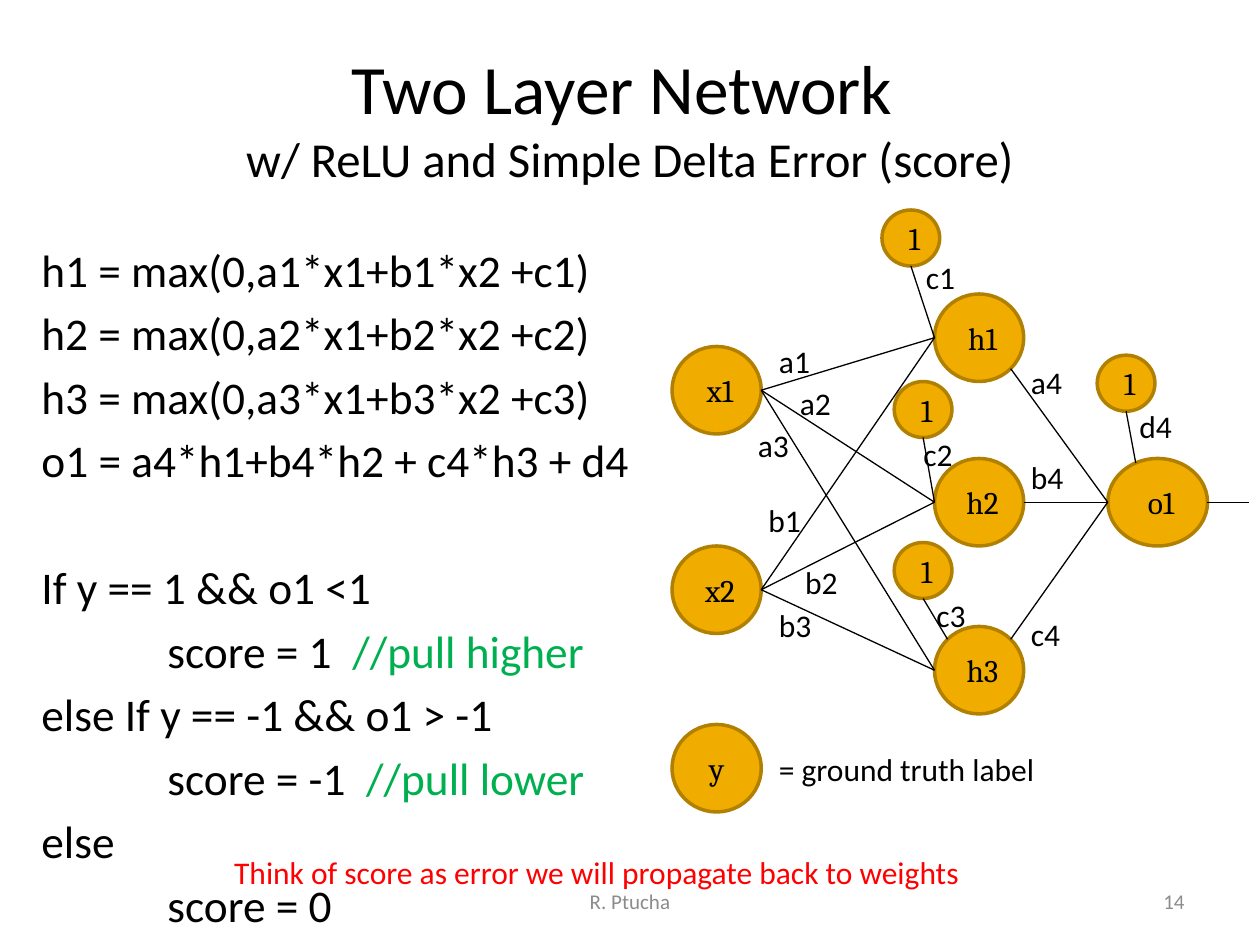
from math import cos, radians, sin

from lxml.etree import SubElement
from pptx import Presentation
from pptx.dml.color import RGBColor
from pptx.enum.shapes import MSO_CONNECTOR, MSO_SHAPE
from pptx.enum.text import MSO_ANCHOR, MSO_AUTO_SIZE, PP_ALIGN
from pptx.oxml.ns import qn
from pptx.util import Pt

BLACK = RGBColor(0x00, 0x00, 0x00)
AMBER = RGBColor(0xF0, 0xAD, 0x00)
BROWN = RGBColor(0xB2, 0x80, 0x00)
GREEN = RGBColor(0x00, 0xB0, 0x50)
RED = RGBColor(0xFF, 0x00, 0x00)
GRAY = RGBColor(0x8C, 0x8C, 0x8C)

RIGHT, LOWER_RIGHT, BOTTOM, LEFT, UPPER_LEFT, UPPER_RIGHT = 0, 45, 90, 180, 225, 315
O1_BIAS_ANGLE = 244

RULES = [
    ("h1 = max(0,a1*x1+b1*x2 +c1)", ""),
    ("h2 = max(0,a2*x1+b2*x2 +c2)", ""),
    ("h3 = max(0,a3*x1+b3*x2 +c3)", ""),
    ("o1 = a4*h1+b4*h2 + c4*h3 + d4", ""),
    ("If y == 1 && o1 <1", ""),
    ("\tscore = 1  ", "//pull higher"),
    ("else If y == -1 && o1 > -1", ""),
    ("\tscore = -1  ", "//pull lower"),
    ("else", ""),
    ("\tscore = 0", ""),
]
FIRST_SCORE_RULE = 4

LARGE, SMALL, OUTPUT = (51, 50), (33, 32), (57, 50)
NODES = {
    "x1": (" x1", 0, 78, LARGE),
    "x2": (" x2", 0, 192, LARGE),
    "h1": (" h1", 150, 48, LARGE),
    "h2": (" h2", 150, 142, LARGE),
    "h3": (" h3", 150, 238, LARGE),
    "o1": (" o1", 249, 142, OUTPUT),
    "y": ("y", 0, 294, LARGE),
    "bias1": (" 1", 120, 0, SMALL),
    "bias2": (" 1", 127, 98, SMALL),
    "bias3": (" 1", 127, 190, SMALL),
    "bias4": (" 1", 243, 83, SMALL),
}
EDGES = [(x, RIGHT, h, LEFT) for x in ("x1", "x2") for h in ("h1", "h2", "h3")] + [
    ("h1", LOWER_RIGHT, "o1", LEFT),
    ("h2", RIGHT, "o1", LEFT),
    ("h3", UPPER_RIGHT, "o1", LEFT),
    ("bias1", BOTTOM, "h1", LEFT),
    ("bias2", BOTTOM, "h2", LEFT),
    ("bias3", BOTTOM, "h3", UPPER_LEFT),
    ("bias4", BOTTOM, "o1", O1_BIAS_ANGLE),
]
WEIGHTS = {
    "a1": (54, 72), "a2": (66, 96), "a3": (42, 120), "a4": (198, 84),
    "b1": (48, 163), "b2": (69, 198), "b3": (54, 223), "b4": (198, 138),
    "c1": (138, 24), "c2": (136.5, 125), "c3": (144, 217), "c4": (198, 228),
    "d4": (260, 109),
}


def style(paragraph, size, color=BLACK, name="Calibri", align=PP_ALIGN.LEFT):
    paragraph.alignment = align
    paragraph.font.size = Pt(size)
    paragraph.font.name = name
    paragraph.font.color.rgb = color


def add_text(page, box, text, size=18, color=BLACK, align=PP_ALIGN.LEFT, fit=True):
    frame = page.shapes.add_textbox(*map(Pt, box)).text_frame
    frame.word_wrap = not fit
    if fit:
        frame.auto_size = MSO_AUTO_SIZE.SHAPE_TO_FIT_TEXT
    else:
        frame.vertical_anchor = MSO_ANCHOR.MIDDLE
    frame.text = text
    style(frame.paragraphs[0], size, color, align=align)


def add_title(page, box):
    title = page.shapes.title
    title.left, title.top, title.width, title.height = map(Pt, box)
    frame = title.text_frame
    frame.auto_size = MSO_AUTO_SIZE.NONE
    frame.vertical_anchor = MSO_ANCHOR.MIDDLE
    paragraph = frame.paragraphs[0]
    style(paragraph, 39.6, align=PP_ALIGN.CENTER)
    paragraph.add_run().text = "Two Layer Network "
    paragraph.add_line_break()
    subtitle = paragraph.add_run()
    subtitle.text = "w/ ReLU and Simple Delta Error (score)"
    subtitle.font.size = Pt(27.9)


def set_tab_stop(paragraph, position):
    properties = paragraph._p.get_or_add_pPr()
    tabs = properties.makeelement(qn("a:tabLst"), {})
    SubElement(tabs, qn("a:tab"), pos=str(position), algn="l")
    properties.find(qn("a:defRPr")).addprevious(tabs)


def add_rules(page, box):
    frame = page.shapes.add_textbox(*map(Pt, box)).text_frame
    frame.word_wrap = True
    for index, (rule, comment) in enumerate(RULES):
        paragraph = frame.add_paragraph() if index else frame.paragraphs[0]
        style(paragraph, 25.9)
        paragraph.space_before = Pt(41.5 if index == FIRST_SCORE_RULE else 5.2)
        set_tab_stop(paragraph, Pt(72))
        paragraph.add_run().text = rule
        if comment:
            span = paragraph.add_run()
            span.text = comment
            span.font.color.rgb = GREEN


def add_node(page, box, text):
    node = page.shapes.add_shape(MSO_SHAPE.OVAL, *map(Pt, box))
    node.shadow.inherit = False
    node.fill.solid()
    node.fill.fore_color.rgb = AMBER
    node.line.color.rgb = BROWN
    node.line.width = Pt(2)
    frame = node.text_frame
    frame.margin_left = frame.margin_right = frame.margin_top = frame.margin_bottom = 0
    frame.vertical_anchor = MSO_ANCHOR.MIDDLE
    frame.text = text
    style(frame.paragraphs[0], 18, name="Cambria", align=PP_ALIGN.CENTER)


def add_edge(page, start, end):
    edge = page.shapes.add_connector(MSO_CONNECTOR.STRAIGHT, *map(Pt, start + end))
    edge.line.color.rgb = BLACK
    edge.line.width = Pt(0.75)
    SubElement(edge._element.spPr, qn("a:effectLst"))


def rim_point(box, degrees):
    left, top, width, height = box
    angle = radians(degrees)
    return left + width / 2 * (1 + cos(angle)), top + height / 2 * (1 + sin(angle))


def add_network(page, box):
    left, top, width, _ = box
    boxes = {}
    for key, (text, x, y, size) in NODES.items():
        boxes[key] = (left + x, top + y, *size)
        add_node(page, boxes[key], text)
    for source, source_angle, target, target_angle in EDGES:
        add_edge(page, rim_point(boxes[source], source_angle),
                 rim_point(boxes[target], target_angle))
    output = rim_point(boxes["o1"], RIGHT)
    add_edge(page, output, (left + width, output[1]))
    for text, (x, y) in WEIGHTS.items():
        add_text(page, (left + x, top + y, 34, 29), text)
    add_text(page, (left + 54, top + 305, 163, 29), "= ground truth label")


def add_footer(page, box):
    left, top, width, height = box
    add_text(page, (left, top, 228, height), "R. Ptucha", 12, GRAY, PP_ALIGN.CENTER, False)
    add_text(page, (left + width - 168, top, 168, height), "14", 12, GRAY,
             PP_ALIGN.RIGHT, False)


def main():
    deck = Presentation()
    deck.slide_width, deck.slide_height = Pt(720), Pt(540)
    page = deck.slides.add_slide(deck.slide_layouts[5])
    add_title(page, (36, 21.6, 648, 90))
    add_rules(page, (16.6, 134.6, 446, 351))
    add_network(page, (384, 120, 330, 344))
    add_footer(page, (246, 500.5, 438, 29))
    add_text(page, (126.7, 484, 433.5, 29),
             "Think of score as error we will propagate back to weights", color=RED)
    deck.save("out.pptx")


if __name__ == "__main__":
    main()
